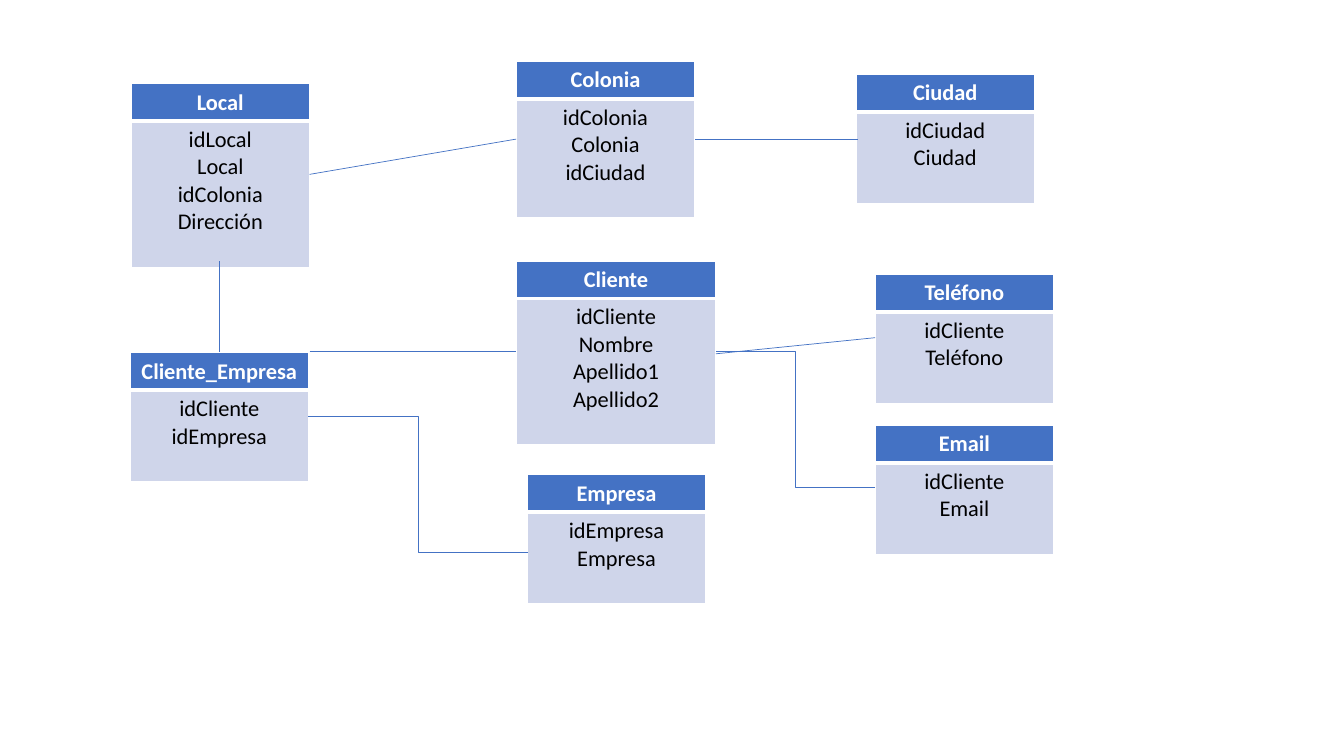
from lxml import etree
from pptx import Presentation
from pptx.dml.color import RGBColor
from pptx.enum.shapes import MSO_CONNECTOR
from pptx.enum.text import PP_ALIGN
from pptx.oxml.ns import qn
from pptx.util import Inches, Pt

STRAIGHT = MSO_CONNECTOR.STRAIGHT
ELBOW = MSO_CONNECTOR.ELBOW
CENTER = PP_ALIGN.CENTER

BLUE = RGBColor(0x44, 0x72, 0xC4)
PALE_BLUE = RGBColor(0xCF, 0xD5, 0xEA)
WHITE = RGBColor(0xFF, 0xFF, 0xFF)
BLACK = RGBColor(0x00, 0x00, 0x00)

HEADER_HEIGHT = 0.37
LINE_HEIGHT = 0.27
CELL_MARGINS = 0.1
ENTITY_WIDTH = 1.77

# Border widths in points: left, right, top, bottom
HEADER_BORDERS = (1, 1, 1, 3)
BODY_BORDERS = (1, 1, 3, 1)

# Name, left, top, width, fields
ENTITIES = [
    ("Cliente", 5.12, 2.59, 1.98, ["idCliente", "Nombre", "Apellido1", "Apellido2"]),
    ("Teléfono", 8.68, 2.72, ENTITY_WIDTH, ["idCliente", "Teléfono"]),
    ("Email", 8.68, 4.22, ENTITY_WIDTH, ["idCliente", "Email"]),
    ("Empresa", 5.23, 4.71, ENTITY_WIDTH, ["idEmpresa", "Empresa"]),
    ("Cliente_Empresa", 1.29, 3.5, ENTITY_WIDTH, ["idCliente", "idEmpresa"]),
    ("Local", 1.3, 0.83, ENTITY_WIDTH, ["idLocal", "Local", "idColonia", "Dirección"]),
    ("Colonia", 5.12, 0.61, ENTITY_WIDTH, ["idColonia", "Colonia", "idCiudad"]),
    ("Ciudad", 8.49, 0.74, ENTITY_WIDTH, ["idCiudad", "Ciudad"]),
]

# Kind, start x, start y, end x, end y
RELATIONS = [
    (ELBOW, 8.68, 4.84, 7.1, 3.49),
    (STRAIGHT, 7.1, 3.51, 8.68, 3.35),
    (STRAIGHT, 3.07, 3.49, 5.12, 3.49),
    (ELBOW, 5.24, 5.48, 3.06, 4.13),
    (STRAIGHT, 2.18, 2.59, 2.18, 3.49),
    (STRAIGHT, 5.12, 1.38, 3.07, 1.73),
    (STRAIGHT, 8.51, 1.38, 6.89, 1.38),
]


def fill_cell(cell, lines, fill_color, font_color, bold):
    cell.fill.solid()
    cell.fill.fore_color.rgb = fill_color
    for index, line in enumerate(lines):
        text_frame = cell.text_frame
        paragraph = text_frame.add_paragraph() if index else text_frame.paragraphs[0]
        paragraph.alignment = CENTER
        run = paragraph.add_run()
        run.text = line
        run.font.name = "Calibri"
        run.font.size = Pt(16)
        run.font.bold = bold
        run.font.color.rgb = font_color


def add_white_borders(cell, widths):
    properties = cell._tc.get_or_add_tcPr()
    for index, (side, width) in enumerate(zip("LRTB", widths)):
        border = etree.Element(qn(f"a:ln{side}"), w=str(Pt(width)))
        solid_fill = etree.SubElement(border, qn("a:solidFill"))
        etree.SubElement(solid_fill, qn("a:srgbClr"), val=str(WHITE))
        properties.insert(index, border)


presentation = Presentation()
presentation.slide_width = Inches(13.33)
presentation.slide_height = Inches(7.5)
slide = presentation.slides.add_slide(presentation.slide_layouts[6])

for name, left, top, width, fields in ENTITIES:
    # Each entity keeps one spare line below its fields
    body_height = (len(fields) + 1) * LINE_HEIGHT + CELL_MARGINS
    table = slide.shapes.add_table(
        2, 1, Inches(left), Inches(top), Inches(width), Inches(HEADER_HEIGHT + body_height)
    ).table
    table.rows[0].height = Inches(HEADER_HEIGHT)
    table.rows[1].height = Inches(body_height)
    header, body = table.cell(0, 0), table.cell(1, 0)
    fill_cell(header, [name], BLUE, WHITE, True)
    fill_cell(body, fields, PALE_BLUE, BLACK, False)
    add_white_borders(header, HEADER_BORDERS)
    add_white_borders(body, BODY_BORDERS)

for kind, *ends in RELATIONS:
    connector = slide.shapes.add_connector(kind, *[Inches(end) for end in ends])
    connector.line.color.rgb = BLUE
    connector.line.width = Pt(0.5)
    etree.SubElement(connector._element.spPr, qn("a:effectLst"))

presentation.save("out.pptx")
